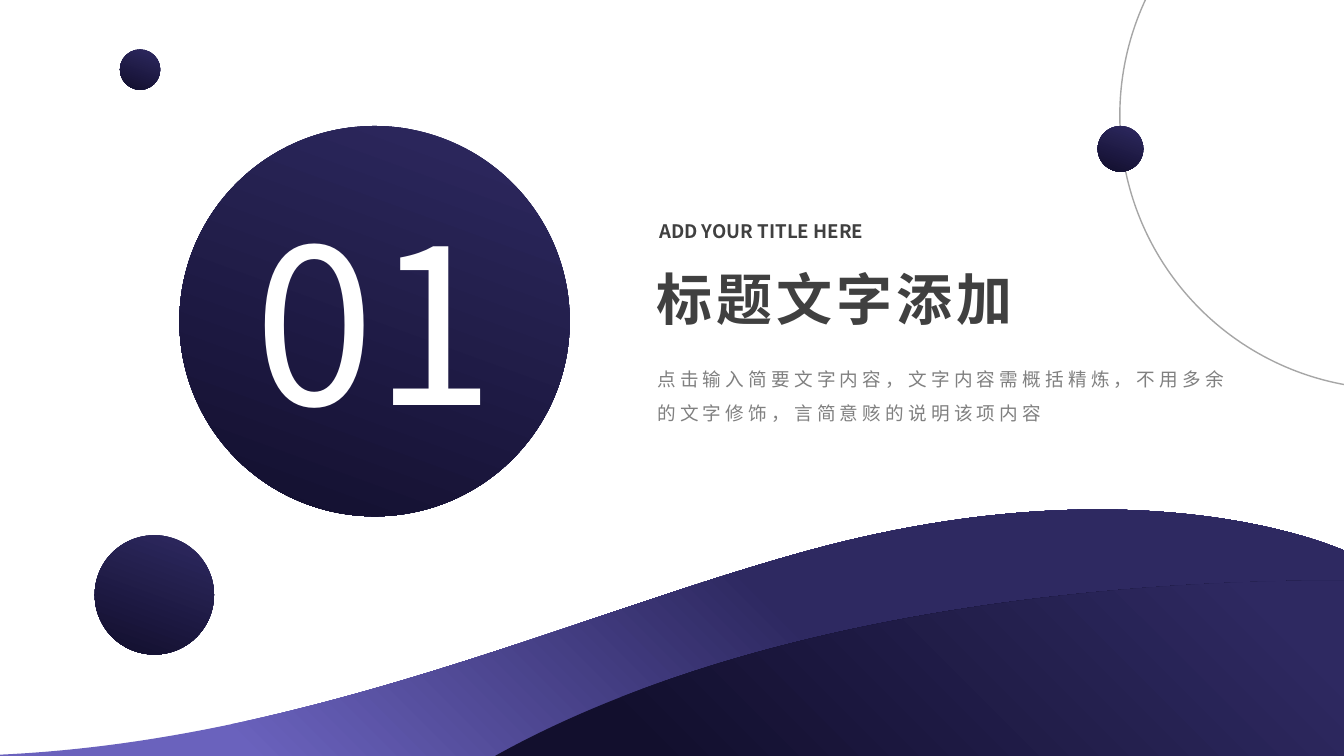
"""Build a section title slide with gradient circles and waves."""
from dataclasses import dataclass

from lxml.etree import SubElement
from pptx import Presentation
from pptx.dml.color import RGBColor
from pptx.enum.shapes import MSO_SHAPE
from pptx.enum.text import MSO_AUTO_SIZE, PP_ALIGN
from pptx.oxml.ns import qn
from pptx.util import Pt

FONT = "Noto Sans CJK SC"
COLORS = {
    "indigo": "2E2961",
    "night": "120F2D",
    "violet": "6A62BD",
    "title": "404040",
    "body": "808080",
    "ring": "A6A6A6",
    "white": "FFFFFF",
}


@dataclass
class Gradient:
    stops: tuple
    angle: float


@dataclass
class Circle:
    left: float
    top: float
    size: float
    gradient: Gradient | None = None


@dataclass
class Wave:
    start: tuple
    curves: list
    corner: tuple
    gradient: Gradient


@dataclass
class Label:
    text: str
    box: tuple
    size: float
    color: str
    insets: tuple = (9.36, 5.04)
    bold: bool = False
    wrap: bool = True
    spacing: float = 0
    line_spacing: float | None = None
    align: PP_ALIGN = PP_ALIGN.LEFT


DUSK = Gradient(((0, "indigo"), (1, "night")), 250)
BIG_CIRCLE = Circle(128.16, 90, 278.8, DUSK)
NUMBER = Label("01", (171.36, 132.48, 192.96, 192.24), 154.7, "white",
               insets=(5.04, 2.16), wrap=False, align=PP_ALIGN.CENTER)
SUBTITLE = Label("ADD YOUR TITLE HERE", (461.52, 151.92, 174.24, 25.92), 13.3,
                 "title", bold=True, wrap=False)
BODY = Label("点击输入简要文字内容，文字内容需概括精炼，不用多余的文字修饰，言简意赅的说明该项内容",
             (460.08, 249.84, 432.72, 55.44), 13.3, "body",
             spacing=3, line_spacing=1.5)
TITLE = Label("标题文字添加", (461.52, 185.76, 315.36, 55.44), 40, "title",
              insets=(7.2, 3.6), bold=True, spacing=3)
WAVES = [
    Wave((961.2, 393.84),
         [((961.2, 393.84), (815.76, 324.72), (565.2, 396.72)),
          ((388.08, 447.12), (191.52, 540), (-41.04, 540))],
         (961.2, 540),
         Gradient(((0.18, "violet"), (0.58, "indigo")), 45)),
    Wave((961.2, 414.72),
         [((858.24, 414), (563.04, 423.36), (353.52, 540))],
         (961.2, 540),
         Gradient(((0.15, "night"), (0.91, "indigo")), 45)),
]
SMALL_CIRCLES = [
    Circle(67.68, 382.32, 85.2, DUSK),
    Circle(85.68, 35.28, 28.8, DUSK),
    Circle(799.92, -113.04, 390.96),
    Circle(784.08, 90, 32.6, DUSK),
]


def rgb(name: str) -> RGBColor:
    return RGBColor.from_string(COLORS[name])


def paint(sp, gradient: Gradient) -> None:
    sp.fill.gradient()
    sp.fill.gradient_angle = gradient.angle
    for stop, (position, color) in zip(sp.fill.gradient_stops, gradient.stops):
        stop.position = position
        stop.color.rgb = rgb(color)
    sp.line.fill.background()


def add_circle(s, circle: Circle) -> None:
    sp = s.shapes.add_shape(MSO_SHAPE.OVAL, Pt(circle.left), Pt(circle.top),
                            Pt(circle.size), Pt(circle.size))
    sp.shadow.inherit = False
    if circle.gradient:
        paint(sp, circle.gradient)
    else:
        sp.fill.background()
        sp.line.color.rgb = rgb("ring")
        sp.line.width = Pt(1)


def add_wave(s, wave: Wave) -> None:
    points = [point for curve in wave.curves for point in curve]
    x, y = wave.start
    builder = s.shapes.build_freeform(Pt(x), Pt(y))
    builder.add_line_segments(
        [(Pt(px), Pt(py)) for px, py in points + [wave.corner]], close=True)
    sp = builder.convert_to_shape()
    sp.shadow.inherit = False
    segments = list(sp.element.iter(qn("a:lnTo")))[:len(points)]
    for i in range(0, len(points), 3):
        first, *rest = segments[i:i + 3]
        first.tag = qn("a:cubicBezTo")
        for segment in rest:
            first.append(segment[0])
            segment.getparent().remove(segment)
    paint(sp, wave.gradient)


def add_label(s, label: Label) -> None:
    tf = s.shapes.add_textbox(*map(Pt, label.box)).text_frame
    tf.word_wrap = label.wrap
    tf.auto_size = MSO_AUTO_SIZE.SHAPE_TO_FIT_TEXT
    tf.margin_left = tf.margin_right = Pt(label.insets[0])
    tf.margin_top = tf.margin_bottom = Pt(label.insets[1])
    p = tf.paragraphs[0]
    p.alignment = label.align
    p.line_spacing = label.line_spacing
    r = p.add_run()
    r.text = label.text
    r.font.name = FONT
    r.font.size = Pt(label.size)
    r.font.bold = label.bold
    r.font.color.rgb = rgb(label.color)
    props = r.font._element
    SubElement(props, qn("a:ea"), typeface=FONT)
    if label.spacing:
        props.set("spc", str(round(label.spacing * 100)))


def main() -> None:
    prs = Presentation()
    prs.slide_width, prs.slide_height = Pt(960), Pt(540)
    s = prs.slides.add_slide(prs.slide_layouts[6])
    add_circle(s, BIG_CIRCLE)
    for label in (SUBTITLE, BODY, NUMBER):
        add_label(s, label)
    for wave in WAVES:
        add_wave(s, wave)
    add_label(s, TITLE)
    for circle in SMALL_CIRCLES:
        add_circle(s, circle)
    prs.save("out.pptx")


if __name__ == "__main__":
    main()
